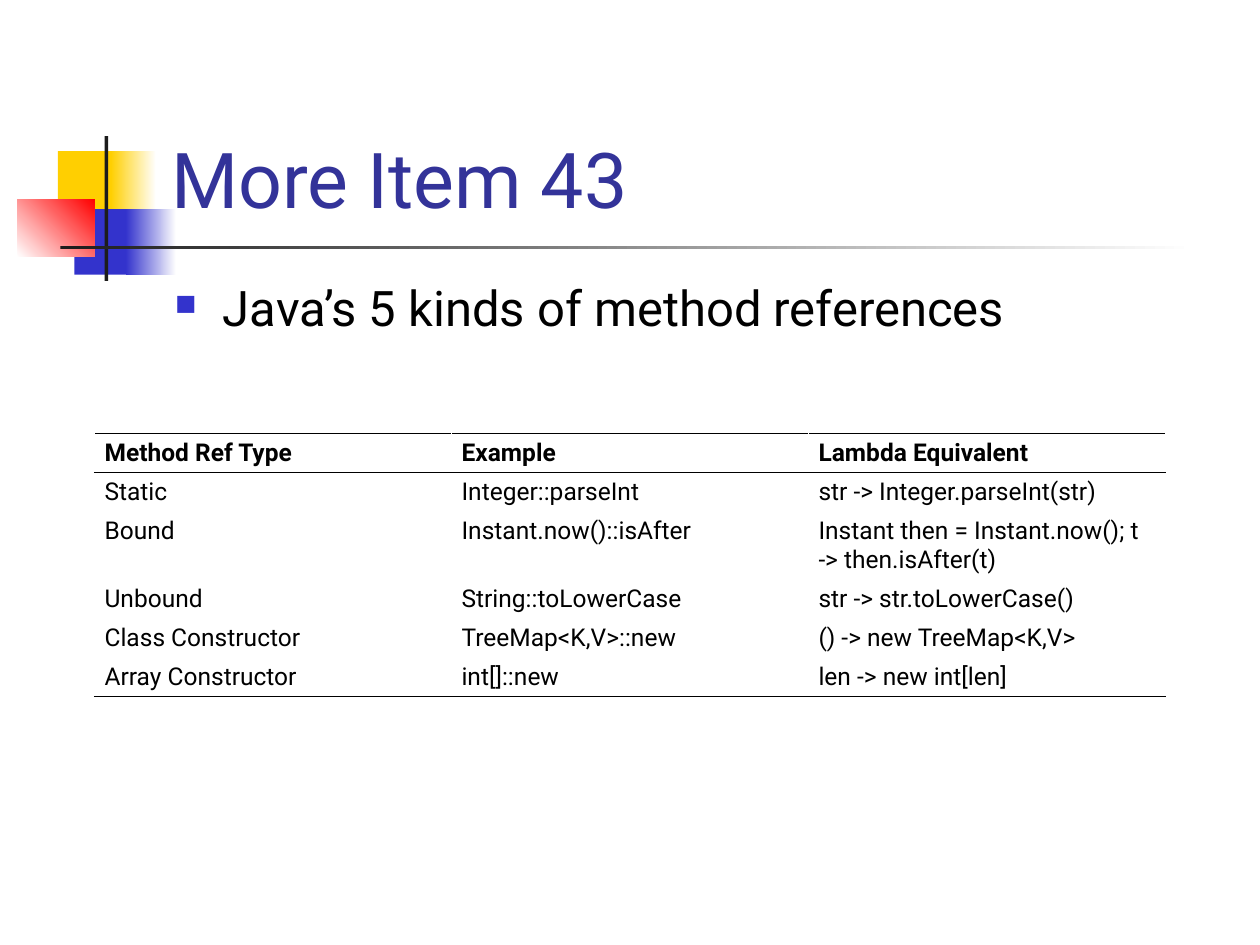
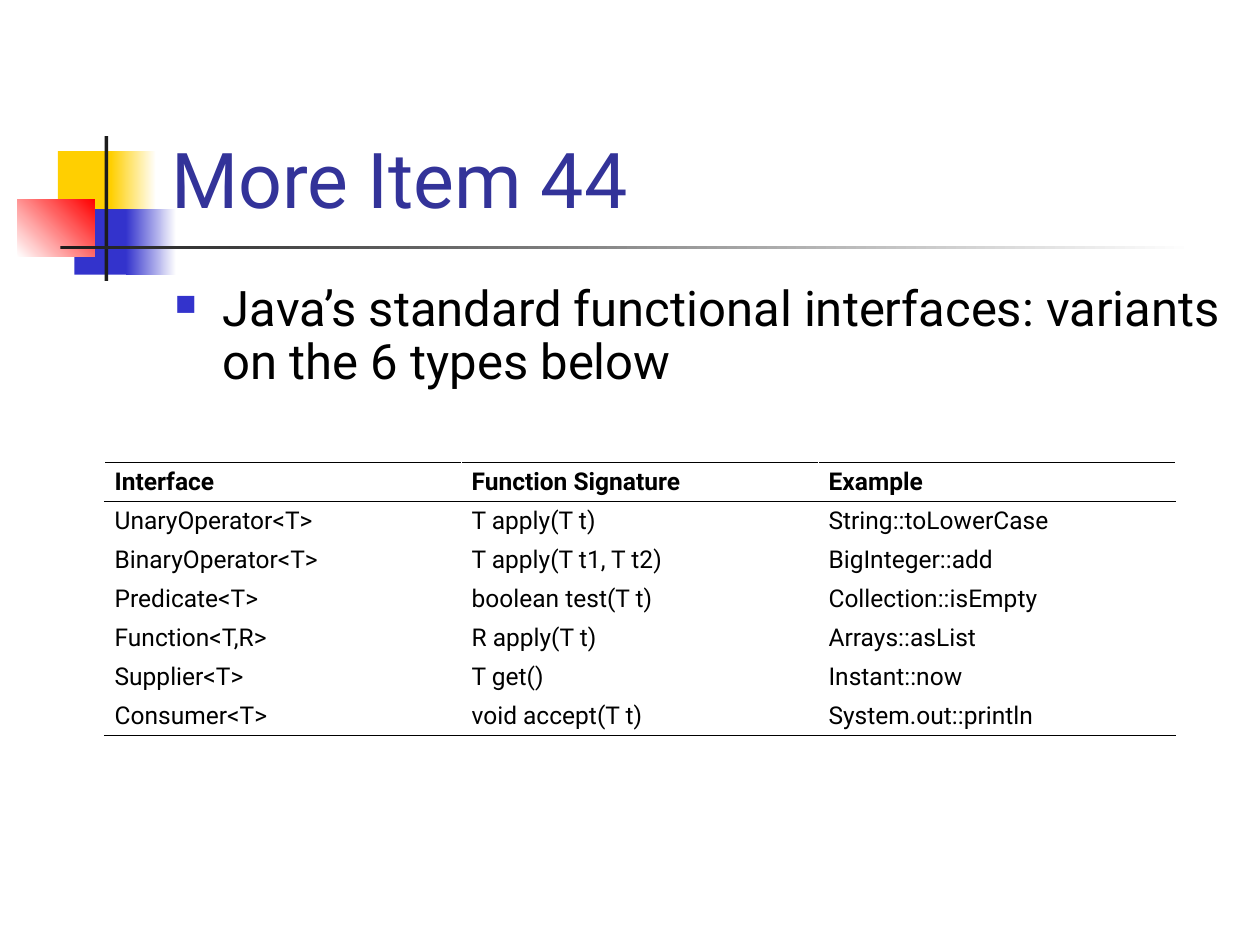
from lxml import etree
from pptx import Presentation
from pptx import util as u
from pptx.dml.color import RGBColor
from pptx.enum import shapes, text
from pptx.oxml import ns

Inches, Pt = u.Inches, u.Pt

WHITE = RGBColor(0xFF, 0xFF, 0xFF)
BLACK = RGBColor(0, 0, 0)
YELLOW = RGBColor(0xFF, 0xCF, 0x01)
BLUE = RGBColor(0x33, 0x33, 0xCC)
RED = RGBColor(0xFF, 0, 0)
CHARCOAL = RGBColor(0x1C, 0x1C, 0x1C)
NAVY = RGBColor(0x33, 0x33, 0x99)

FONT = "Roboto"
TITLE = {"size": Pt(44), "name": FONT, "bold": False}
BODY = {"size": Pt(28), "name": FONT, "bold": False}
CELL = {"size": Pt(14), "name": FONT, "bold": False}
HEADER = {**CELL, "bold": True}

EMBLEM_BOX = (0.14, 1.08)
EMBLEM_PARTS = [
    (0.32, 0.12, 0.48, 0.52, (YELLOW,), 0),
    (0.74, 0.12, 0.36, 0.52, (YELLOW, WHITE), 0),
    (0.45, 0.58, 0.46, 0.52, (BLUE,), 0),
    (0.86, 0.58, 0.40, 0.52, (BLUE, WHITE), 0),
    (0.00, 0.50, 0.61, 0.46, (WHITE, RED), 45),
    (0.69, 0.00, 0.03, 1.15, (CHARCOAL,), 0),
    (0.34, 0.87, 9.00, 0.03, (CHARCOAL, WHITE), 0),
]
TITLE_BOX = (1.26, 0.23, 8.52, 1.6)
BODY_BOX = (1.29, 2.21, 8.5, 4.5)
TABLE_WIDTH = 8.5
ROW_HEIGHT = 0.3

SLIDES = [
    {
        "title": "More Item 43",
        "bullet": "Java’s 5 kinds of method references",
        "table_at": (0.75, 3.44),
        "rows": [
            ("Method Ref Type", "Example", "Lambda Equivalent"),
            ("Static", "Integer::parseInt", "str -> Integer.parseInt(str)"),
            ("Bound", "Instant.now()::isAfter",
             "Instant then = Instant.now(); t -> then.isAfter(t)"),
            ("Unbound", "String::toLowerCase", "str -> str.toLowerCase()"),
            ("Class Constructor", "TreeMap<K,V>::new", "() -> new TreeMap<K,V>"),
            ("Array Constructor", "int[]::new", "len -> new int[len]"),
        ],
    },
    {
        "title": "More Item 44",
        "bullet": "Java’s standard functional interfaces: variants on the 6 types below",
        "table_at": (0.83, 3.67),
        "rows": [
            ("Interface", "Function Signature", "Example"),
            ("UnaryOperator<T>", "T apply(T t)", "String::toLowerCase"),
            ("BinaryOperator<T>", "T apply(T t1, T t2)", "BigInteger::add"),
            ("Predicate<T>", "boolean test(T t)", "Collection::isEmpty"),
            ("Function<T,R>", "R apply(T t)", "Arrays::asList"),
            ("Supplier<T>", "T get()", "Instant::now"),
            ("Consumer<T>", "void accept(T t)", "System.out::println"),
        ],
    },
]


def add_node(parent, tag, **attrs):
    return etree.SubElement(parent, ns.qn(tag), attrs)


def add_run(p, words, style, color):
    r = p.add_run()
    r.text = words
    for key, value in style.items():
        setattr(r.font, key, value)
    r.font.color.rgb = color


def add_emblem(s, box):
    left, top = box
    for dx, dy, width, height, colors, angle in EMBLEM_PARTS:
        sp = s.shapes.add_shape(shapes.MSO_SHAPE.RECTANGLE, Inches(left + dx),
                                Inches(top + dy), Inches(width), Inches(height))
        sp.shadow.inherit = False
        sp.line.fill.background()
        if len(colors) == 1:
            sp.fill.solid()
            sp.fill.fore_color.rgb = colors[0]
        else:
            sp.fill.gradient()
            sp.fill.gradient_angle = angle
            for stop, color in zip(sp.fill.gradient_stops, colors):
                stop.color.rgb = color


def add_text(s, box, words, style, color, anchor):
    tf = s.shapes.add_textbox(*map(Inches, box)).text_frame
    tf.word_wrap = True
    tf.auto_size = text.MSO_AUTO_SIZE.NONE
    tf.vertical_anchor = anchor
    p = tf.paragraphs[0]
    add_run(p, words, style, color)
    return p


def add_bullet(s, box, words):
    p = add_text(s, box, words, BODY, BLACK, text.MSO_ANCHOR.TOP)
    p.line_spacing = 0.9
    p.space_before = Pt(5.6)
    pPr = p._p.get_or_add_pPr()
    pPr.set("marL", str(Inches(0.38)))
    pPr.set("indent", str(-Inches(0.38)))
    add_node(add_node(pPr, "a:buClr"), "a:srgbClr", val=str(BLUE))
    add_node(pPr, "a:buSzPct", val="60000")
    add_node(pPr, "a:buChar", char="■")


def add_rule(cell, edge):
    ln = add_node(cell._tc.get_or_add_tcPr(), edge, w=str(Pt(1)))
    add_node(add_node(ln, "a:solidFill"), "a:srgbClr", val=str(BLACK))


def add_ruled_table(s, at, rows):
    left, top = at
    cols = len(rows[0])
    table = s.shapes.add_table(len(rows), cols, Inches(left), Inches(top),
                               Inches(TABLE_WIDTH), Inches(ROW_HEIGHT * len(rows))).table
    table.first_row = table.horz_banding = False
    for i, row in enumerate(rows):
        for j, words in enumerate(row):
            cell = table.cell(i, j)
            cell.margin_left = cell.margin_right = Inches(0.08)
            cell.margin_top = cell.margin_bottom = Inches(0.04)
            if i <= 1:
                add_rule(cell, "a:lnT")
            if i in (0, len(rows) - 1):
                add_rule(cell, "a:lnB")
            cell.fill.solid()
            cell.fill.fore_color.rgb = WHITE
            add_run(cell.text_frame.paragraphs[0], words, CELL if i else HEADER, BLACK)


def add_item_slide(prs, item):
    s = prs.slides.add_slide(prs.slide_layouts[6])
    add_emblem(s, EMBLEM_BOX)
    add_text(s, TITLE_BOX, item["title"], TITLE, NAVY, text.MSO_ANCHOR.BOTTOM)
    add_bullet(s, BODY_BOX, item["bullet"])
    add_ruled_table(s, item["table_at"], item["rows"])


def main():
    prs = Presentation()
    prs.slide_width, prs.slide_height = Inches(10), Inches(7.5)
    for item in SLIDES:
        add_item_slide(prs, item)
    prs.save("out.pptx")


if __name__ == "__main__":
    main()
